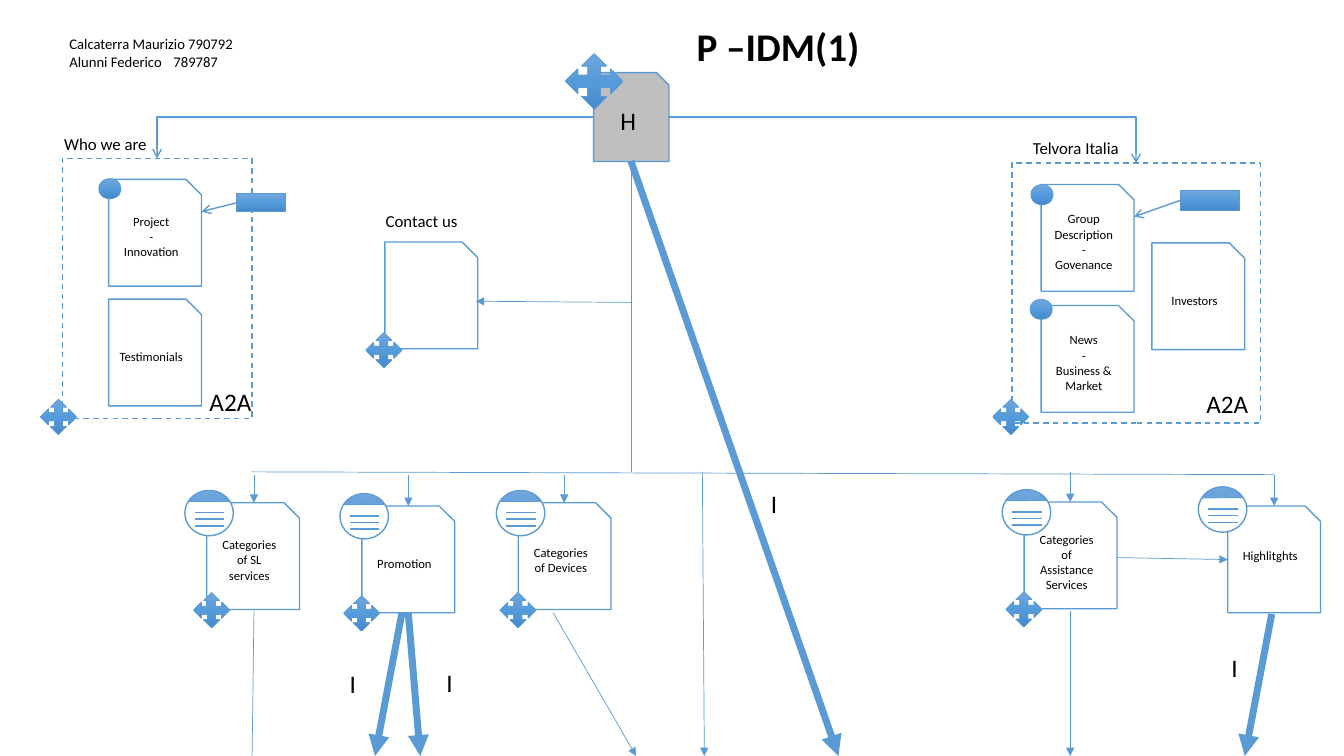
from copy import deepcopy

from lxml import etree
from pptx import Presentation
from pptx import util as u
from pptx.dml.color import RGBColor
from pptx.enum import dml, shapes, text
from pptx.oxml.ns import qn

COLORS = {"line": "5B9BD5", "paper": "FFFFFF", "home": "BFBFBF", "ink": "000000"}
GRADIENT = {0: "71A6DB", 0.5: "559BDB", 1: "448ACA"}
KIND = shapes.MSO_SHAPE
PAGE_SIZE = (2.34, 2.69)
DOT_SIZE = (0.56, 0.51)
MOVE_SIZE = (0.91, 0.89)
THIN, NORMAL, THICK = 0.5, 1, 5


def color(name):
    return RGBColor.from_string(COLORS[name])


def apply(target, values):
    for name, value in values.items():
        setattr(target, name, value)


def write(shape, content, size, align, bold=False, **frame_format):
    frame = shape.text_frame
    frame.text = content
    apply(frame, {"word_wrap": True, **frame_format})
    for paragraph in frame.paragraphs:
        paragraph.alignment = align
        apply(paragraph.font, {"name": "Calibri", "size": u.Pt(size), "bold": bold})
        paragraph.font.color.rgb = color("ink")


def add_figure(slide, kind, left, top, size, fill="paper", weight=NORMAL):
    shape = slide.shapes.add_shape(kind, *map(u.Cm, (left, top, *size)))
    shape.shadow.inherit = False
    shape.fill.solid()
    shape.fill.fore_color.rgb = color(fill)
    shape.line.color.rgb = color("line")
    shape.line.width = u.Pt(weight)
    return shape


def add_glossy(slide, kind, left, top, size):
    shape = add_figure(slide, kind, left, top, size, weight=THIN)
    shape.fill.gradient()
    shape.fill.gradient_angle = 270
    stop_list = shape._element.spPr.find(".//" + qn("a:gsLst"))
    stop_list.insert(1, deepcopy(stop_list[0]))
    for stop, (position, value) in zip(shape.fill.gradient_stops, GRADIENT.items()):
        stop.position = position
        stop.color.rgb = RGBColor.from_string(value)
    return shape


def add_page(slide, left, top, content="", size=PAGE_SIZE, fill="paper", points=9, bottom=0.13):
    shape = add_figure(slide, KIND.SNIP_1_RECTANGLE, left, top, size, fill)
    if content:
        write(shape, content, points, text.PP_ALIGN.CENTER,
              vertical_anchor=text.MSO_ANCHOR.MIDDLE, margin_bottom=u.Cm(bottom))


def add_label(slide, content, left, top, width, height, points):
    box = slide.shapes.add_textbox(*map(u.Cm, (left, top, width, height)))
    write(box, content, points, text.PP_ALIGN.LEFT)


def add_line(slide, start, end, weight=THIN, head="triangle", bent=False):
    kind = shapes.MSO_CONNECTOR.ELBOW if bent else shapes.MSO_CONNECTOR.STRAIGHT
    connector = slide.shapes.add_connector(kind, *map(u.Cm, (*start, *end)))
    connector.line.color.rgb = color("line")
    connector.line.width = u.Pt(weight)
    properties = connector._element.spPr
    if bent:
        properties.find(qn("a:prstGeom")).set("prst", "bentConnector2")
    if head:
        etree.SubElement(connector.line._get_or_add_ln(), qn("a:tailEnd")).set("type", head)
    etree.SubElement(properties, qn("a:effectLst"))


def add_list_icon(slide, left, top):
    add_figure(slide, KIND.OVAL, left, top, (1.22, 1.14))
    for offset in (0.56, 0.72, 0.89):
        add_line(slide, (left + 0.25, top + offset), (left + 0.99, top + offset), NORMAL, None)
    cap = add_glossy(slide, KIND.CHORD, left - 0.05, top, (1.32, 1.5))
    cap.adjustments[0], cap.adjustments[1] = 133.5, 190.19


def add_area(slide, left, top, width):
    area = add_figure(slide, KIND.RECTANGLE, left, top, (width, 6.55))
    area.line.dash_style = dml.MSO_LINE.DASH


def add_title(slide):
    title = slide.shapes.title
    apply(title, {"left": u.Cm(17.3), "top": u.Cm(0.43),
                  "width": u.Cm(8.05), "height": u.Cm(1.45)})
    write(title, "P –IDM(1)", 28, text.PP_ALIGN.LEFT, True,
          vertical_anchor=text.MSO_ANCHOR.MIDDLE, auto_size=text.MSO_AUTO_SIZE.NONE)


def add_upper_map(slide):
    add_page(slide, 14.96, 1.83, "H", (1.9, 2.24), "home", 18)
    add_area(slide, 1.57, 3.99, 4.78)
    add_area(slide, 25.5, 4.11, 6.27)
    for content, left, top in (
        ("Project\n-\nInnovation", 2.74, 4.52),
        ("Testimonials", 2.74, 7.54),
        ("Group Description\n-\nGovenance", 26.24, 4.65),
        ("News\n-\nBusiness &\nMarket", 26.24, 7.7),
        ("Investors", 29.03, 6.12),
        ("", 9.7, 6.1),
    ):
        add_page(slide, left, top, content)
    for left, top in ((2.49, 4.5), (25.98, 4.65), (25.96, 7.54)):
        add_glossy(slide, KIND.OVAL, left, top, DOT_SIZE)
    add_glossy(slide, KIND.RECTANGLE, 5.97, 4.88, (1.22, 0.46))
    add_glossy(slide, KIND.RECTANGLE, 29.74, 4.8, (1.5, 0.51))
    add_glossy(slide, KIND.QUAD_ARROW, 14.25, 1.35, (1.45, 1.4))
    for left, top in ((1.02, 10.06), (25.02, 10.06), (9.22, 8.38)):
        add_glossy(slide, KIND.QUAD_ARROW, left, top, MOVE_SIZE)
    add_line(slide, (5.97, 5.11), (5.08, 5.33), NORMAL, "arrow")
    add_line(slide, (29.74, 5.05), (28.58, 5.46), NORMAL, "arrow")
    add_line(slide, (14.96, 2.95), (3.96, 3.99), NORMAL, "arrow", True)
    add_line(slide, (16.84, 2.95), (28.63, 4.11), NORMAL, "arrow", True)


def add_categories(slide):
    icon, move = (-0.55, -0.31), (-0.46, 2.26)
    for content, left, top, icon_offset, move_offset, bottom in (
        ("Categories of SL services", 5.21, 12.67, icon, (-0.33, 2.26), 0.13),
        ("Promotion", 9.12, 12.75, icon, move, 0.13),
        ("Categories of Devices", 13.06, 12.67, icon, move, 0.13),
        ("Categories of Assistance Services", 25.81, 12.65, icon, move, 0),
        ("Highlitghts", 30.94, 12.75, (-0.74, -0.48), None, 0.52),
    ):
        add_page(slide, left, top, content, bottom=bottom)
        add_list_icon(slide, left + icon_offset[0], top + icon_offset[1])
        if move_offset:
            add_glossy(slide, KIND.QUAD_ARROW, left + move_offset[0],
                       top + move_offset[1], MOVE_SIZE)


def add_links(slide):
    add_line(slide, (6.35, 11.89), (32.11, 11.96), head=None)
    add_line(slide, (15.9, 4.06), (15.9, 11.89), head=None)
    for x, top, bottom in ((6.4, 11.96, 12.67), (10.29, 11.96, 12.75), (14.22, 11.96, 12.67),
                           (26.97, 11.89, 12.65), (32.11, 11.96, 12.75)):
        add_line(slide, (x, top), (x, bottom))
    for start, end in (
        ((6.4, 15.39), (6.35, 19.33)),
        ((13.94, 15.44), (16.03, 19.05)),
        ((17.7, 11.89), (17.75, 19.05)),
        ((26.97, 15.39), (26.97, 19.05)),
        ((15.9, 7.62), (11.99, 7.59)),
        ((28.14, 14.05), (30.94, 14.1)),
    ):
        add_line(slide, start, end)
    for start, end in (
        ((10.29, 15.44), (10.59, 19.05)),
        ((10.13, 15.44), (9.45, 19.05)),
        ((32.05, 15.47), (31.37, 19.05)),
        ((15.9, 4.06), (21.13, 19.05)),
    ):
        add_line(slide, start, end, THICK)


def add_labels(slide):
    for content, left, top in (("Who we are", 1.37, 3.25), ("Telvora Italia", 25.78, 3.35),
                               ("Contact us", 9.47, 5.18)):
        add_label(slide, content, left, top, 3.25, 0.76, 12)
    for left, top in ((5.03, 9.6), (30.15, 9.65)):
        add_label(slide, "A2A", left, top, 1.9, 1.02, 18)
    for left, top in ((8.56, 16.71), (11, 16.69), (30.78, 16.31), (19.18, 12.17)):
        add_label(slide, "I", left, top, 0.79, 1.02, 18)
    add_label(slide, "Calcaterra Maurizio 790792\vAlunni Federico\t 789787",
              1.5, 0.76, 11.66, 1.19, 10.5)


def main():
    presentation = Presentation()
    apply(presentation, {"slide_width": u.Cm(33.87), "slide_height": u.Cm(19.05)})
    slide = presentation.slides.add_slide(presentation.slide_layouts[5])
    add_title(slide)
    add_upper_map(slide)
    add_categories(slide)
    add_links(slide)
    add_labels(slide)
    presentation.save("out.pptx")


main()
